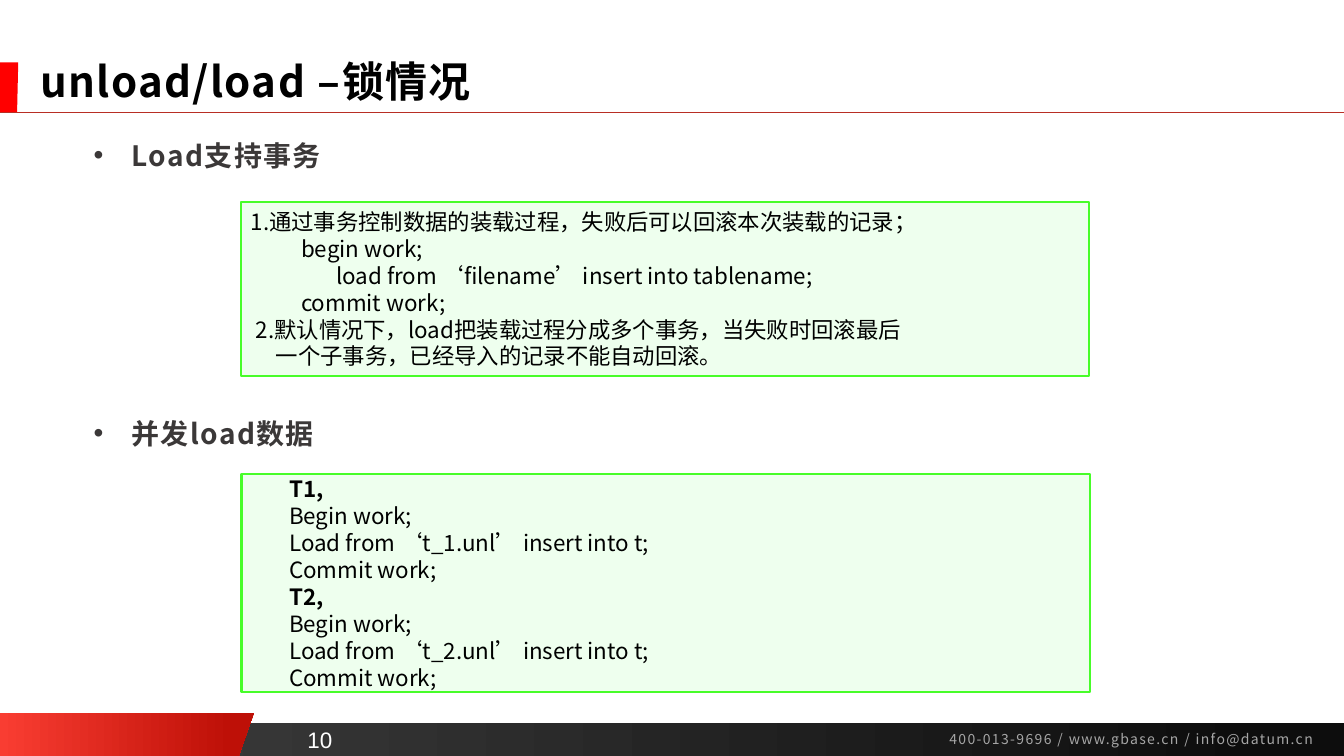
"""Build the slide on locking behaviour of unload and load."""
from dataclasses import dataclass

from lxml.etree import SubElement
from pptx import Presentation
from pptx.dml.color import RGBColor
from pptx.enum.shapes import MSO_CONNECTOR as CONN, MSO_SHAPE as SHAPE
from pptx.enum.text import MSO_ANCHOR as ANCHOR, PP_ALIGN as ALIGN
from pptx.oxml.ns import qn
from pptx.util import Pt

CJK = "Noto Sans CJK SC"
COLORS = {
    "black": "000000", "white": "FFFFFF", "body": "3B3838", "contact": "A6A6A6",
    "red": "FF0000", "rule": "B82E24", "bar_start": "404040", "bar_end": "0D0D0D",
    "tab_start": "F93D32", "tab_end": "BE1007", "box": "CCFFCC", "border": "47FD29",
}
WIDTH, HEIGHT = 960, 540


@dataclass(frozen=True)
class Style:
    size: float
    color: str = "black"
    font: str = CJK
    bold: bool = False
    spacing: int = 0


@dataclass(frozen=True)
class Line:
    text: str
    indent: float = 0
    bold: bool = False


@dataclass(frozen=True)
class CodeBox:
    left: float
    top: float
    height: float
    lines: tuple[Line, ...]


@dataclass(frozen=True)
class Label:
    text: str
    left: float
    top: float
    width: float
    height: float
    style: Style
    anchor: ANCHOR = ANCHOR.TOP
    align: ALIGN = ALIGN.LEFT
    margin: float = 3.6
    line_spacing: float = 1.0


def transaction(name: str, source: str) -> tuple[Line, ...]:
    commands = ("Begin work;", f"Load from ‘{source}’ insert into t;", "Commit work;")
    return (Line(name, 27, True), *(Line(c, 27) for c in commands))


CODE = Style(16)
BULLET = Style(20, "body", bold=True, spacing=100)
BULLETS = (("Load支持事务", 0), ("并发load数据", 174.7))
LABELS = (
    Label("400-013-9696 / www.gbase.cn / info@datum.cn", 671, 518.4, 287.3, 19.4,
          Style(10, "contact", spacing=100)),
    Label("10", 209, 514.8, 39, 26.6, Style(16, "white", "Arial"),
          ANCHOR.BOTTOM, ALIGN.CENTER),
    Label("unload/load –锁情况", 21.6, 41, 882.7, 38.2,
          Style(30, bold=True, spacing=100), ANCHOR.MIDDLE, margin=0, line_spacing=0.9),
)
CODE_BOXES = (
    CodeBox(172, 144, 124.6, (
        Line("1.通过事务控制数据的装载过程，失败后可以回滚本次装载的记录；"),
        Line("begin work;", 36),
        Line("load from ‘filename’ insert into tablename;", 61),
        Line("commit work;", 36),
        Line("2.默认情况下，load把装载过程分成多个事务，当失败时回滚最后", 3.6),
        Line("一个子事务，已经导入的记录不能自动回滚。", 18),
    )),
    CodeBox(172.5, 338.4, 156.2,
            transaction("T1,", "t_1.unl") + transaction("T2,", "t_2.unl")),
)


def rgb(name: str) -> RGBColor:
    return RGBColor.from_string(COLORS[name])


def add_run(p, text: str, style: Style, bold: bool = False) -> None:
    r = p.add_run()
    r.text = text
    r.font.size = Pt(style.size)
    r.font.bold = style.bold or bold
    r.font.name = style.font
    r.font.color.rgb = rgb(style.color)
    rPr = r._r.get_or_add_rPr()
    rPr.set("lang", "zh-CN")
    if style.spacing:
        rPr.set("spc", str(style.spacing))
    SubElement(rPr, qn("a:ea")).set("typeface", style.font)


def set_frame(tf, anchor: ANCHOR, margin: float) -> None:
    tf.word_wrap = True
    tf.vertical_anchor = anchor
    tf.margin_left = tf.margin_right = Pt(7.2)
    tf.margin_top = tf.margin_bottom = Pt(margin)


def next_paragraph(tf, index: int):
    return tf.add_paragraph() if index else tf.paragraphs[0]


def set_indent(p, left: float, first: float = 0) -> None:
    pPr = p._p.get_or_add_pPr()
    pPr.set("marL", str(Pt(left)))
    pPr.set("indent", str(Pt(first)))


def add_label(s, label: Label) -> None:
    sp = s.shapes.add_textbox(Pt(label.left), Pt(label.top), Pt(label.width), Pt(label.height))
    set_frame(sp.text_frame, label.anchor, label.margin)
    p = sp.text_frame.paragraphs[0]
    p.alignment = label.align
    p.line_spacing = label.line_spacing
    add_run(p, label.text, label.style)


def add_bullets(s) -> None:
    sp = s.shapes.add_textbox(Pt(59.8), Pt(98.6), Pt(843.8), Pt(385.2))
    tf = sp.text_frame
    set_frame(tf, ANCHOR.TOP, 0)
    for i, (text, gap) in enumerate(BULLETS):
        p = next_paragraph(tf, i)
        set_indent(p, 27, -27)
        if gap:
            p.space_before = Pt(gap)
        pPr = p._p.get_or_add_pPr()
        SubElement(pPr, qn("a:buFont")).set("typeface", "Arial")
        SubElement(pPr, qn("a:buChar")).set("char", "•")
        add_run(p, text, BULLET)


def add_code_box(s, box: CodeBox) -> None:
    sp = s.shapes.add_shape(SHAPE.RECTANGLE, Pt(box.left), Pt(box.top), Pt(606.2), Pt(box.height))
    sp.shadow.inherit = False
    sp.fill.solid()
    sp.fill.fore_color.rgb = rgb("box")
    fill = sp._element.spPr.find(qn("a:solidFill"))
    SubElement(fill[0], qn("a:alpha")).set("val", "32000")
    sp.line.color.rgb = rgb("border")
    sp.line.width = Pt(1.5)
    tf = sp.text_frame
    set_frame(tf, ANCHOR.MIDDLE, 3.6)
    for i, line in enumerate(box.lines):
        p = next_paragraph(tf, i)
        p.alignment = ALIGN.LEFT
        set_indent(p, line.indent)
        add_run(p, line.text, CODE, line.bold)


def add_band(s, top: float, bottom: float, top_right: float, bottom_right: float,
             colors: tuple[str, ...], end: float = 1.0) -> None:
    fb = s.shapes.build_freeform(0, Pt(top), scale=1.0)
    fb.add_line_segments([(Pt(top_right), Pt(top)), (Pt(bottom_right), Pt(bottom)),
                          (0, Pt(bottom))], close=True)
    sp = fb.convert_to_shape()
    sp.shadow.inherit = False
    sp.line.fill.background()
    if len(colors) == 1:
        sp.fill.solid()
        sp.fill.fore_color.rgb = rgb(colors[0])
        return
    sp.fill.gradient()
    sp.fill.gradient_angle = 0
    for stop, name, position in zip(sp.fill.gradient_stops, colors, (0, end)):
        stop.color.rgb = rgb(name)
        stop.position = position


def add_rule(s) -> None:
    rule = s.shapes.add_connector(CONN.STRAIGHT, 0, Pt(80), Pt(WIDTH), Pt(80))
    rule.line.color.rgb = rgb("rule")
    rule.line.width = Pt(0.5)
    SubElement(rule._element.spPr, qn("a:effectLst"))


def main() -> None:
    prs = Presentation()
    prs.slide_width, prs.slide_height = Pt(WIDTH), Pt(HEIGHT)
    s = prs.slides.add_slide(prs.slide_layouts[6])
    add_band(s, 516.2, HEIGHT, WIDTH, WIDTH, ("bar_start", "bar_end"), 0.94)
    add_band(s, 509, HEIGHT, 181.4, 170.6, ("tab_start", "tab_end"), 0.91)
    add_band(s, 44.6, 80.6, 13, 12.2, ("red",))
    add_rule(s)
    for label in LABELS:
        add_label(s, label)
    add_bullets(s)
    for box in CODE_BOXES:
        add_code_box(s, box)
    prs.save("out.pptx")


if __name__ == "__main__":
    main()
